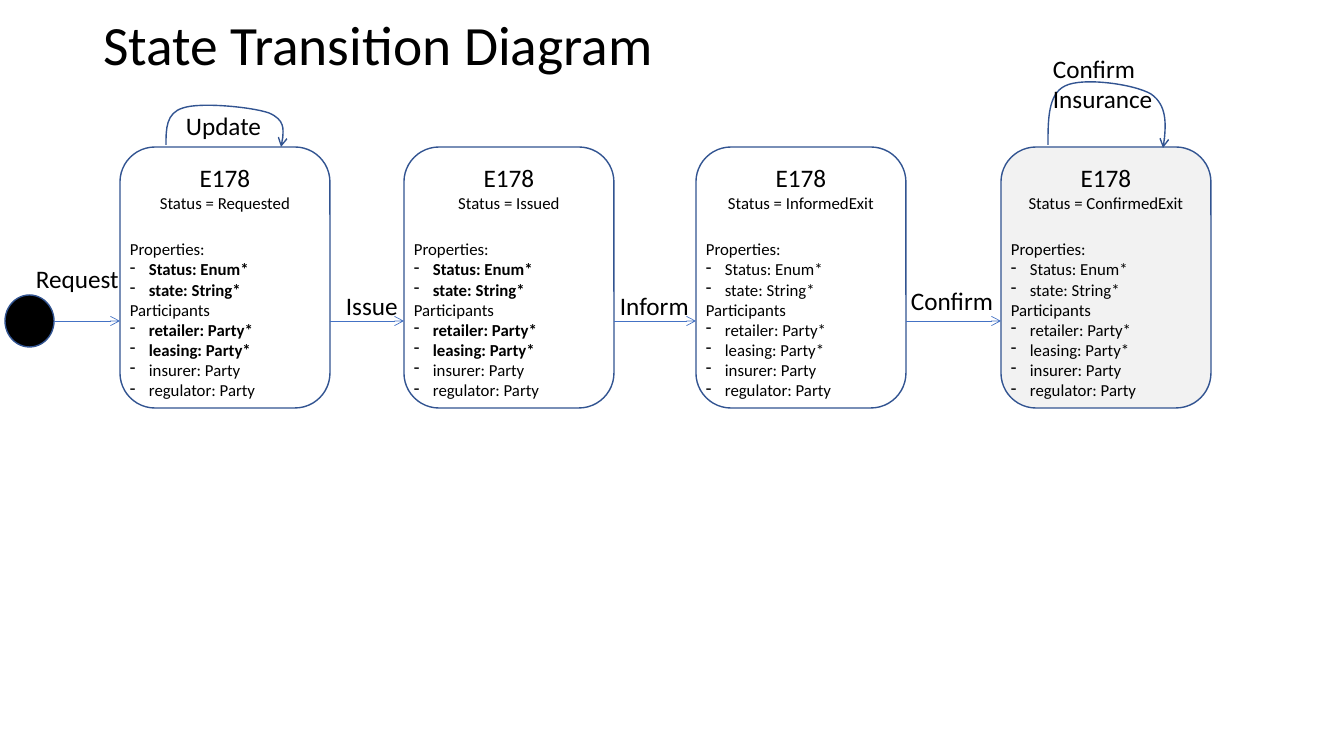
from lxml import etree
from pptx import Presentation
from pptx.dml.color import RGBColor
from pptx.enum.shapes import MSO_CONNECTOR, MSO_SHAPE
from pptx.enum.text import MSO_ANCHOR, MSO_AUTO_SIZE, PP_ALIGN
from pptx.oxml.ns import qn
from pptx.util import Pt

PX = 914400 / 100.8
BLACK = RGBColor(0x00, 0x00, 0x00)
WHITE = RGBColor(0xFF, 0xFF, 0xFF)
GREY = RGBColor(0xF2, 0xF2, 0xF2)
NAVY = RGBColor(0x32, 0x54, 0x91)
BLUE = RGBColor(0x44, 0x72, 0xC4)
ELLIPSE, ROUNDED = MSO_SHAPE.OVAL, MSO_SHAPE.ROUNDED_RECTANGLE
STRAIGHT = MSO_CONNECTOR.STRAIGHT
LEFT, CENTER = PP_ALIGN.LEFT, PP_ALIGN.CENTER
TOP, MIDDLE = MSO_ANCHOR.TOP, MSO_ANCHOR.MIDDLE
FIT_NONE, FIT_SHAPE = MSO_AUTO_SIZE.NONE, MSO_AUTO_SIZE.SHAPE_TO_FIT_TEXT

STATE_TOP, STATE_W, STATE_H = 147, 210, 261
FLOW_Y = 321
START_BOX = (5, 295, 49, 52)
# left, status, fill, whether the key properties are bold
STATES = [
    (120, "Requested", WHITE, True),
    (404, "Issued", WHITE, True),
    (696, "InformedExit", WHITE, False),
    (1001, "ConfirmedExit", GREY, False),
]
# text, is a bulleted item, is a key property
DETAILS = [
    ("Properties:", False, False),
    ("Status: Enum*", True, True),
    ("state: String*", True, True),
    ("Participants", False, False),
    ("retailer: Party*", True, True),
    ("leasing: Party*", True, True),
    ("insurer: Party", True, False),
    ("regulator: Party", True, False),
]
TRANSITIONS = [
    ("Request", (26, 258, 104, 40)),
    ("Issue", (336, 285, 72, 40)),
    ("Inform", (610, 285, 90, 40)),
    ("Confirm", (901, 280, 104, 40)),
]
# left, rise, label lines, label box
SELF_LOOPS = [
    (166, 43, ["Update"], (176, 105, 97, 40)),
    (1048, 68, ["Confirm", "Insurance"], (1043, 48, 121, 72)),
]
# Bezier control points after the start: x in pixels, y as a share of the rise
LOOP_CURVE = [(0, 0.37), (0, 0.75), (17, 0.87), (34, 1), (86, 0.89),
              (103, 0.75), (119, 0.59), (118, 0.16), (115, -0.04)]


def px(*lengths):
    return [round(length * PX) for length in lengths]


def add_run(paragraph, text, size, bold=False):
    run = paragraph.add_run()
    run.text = text
    run.font.name = "Calibri"
    run.font.size = Pt(size)
    run.font.bold = bold
    run.font.color.rgb = BLACK


def add_arrowhead(line_shape):
    etree.SubElement(line_shape.line._get_or_add_ln(), qn("a:tailEnd"), type="arrow")


def style_outline(shape, fill=None):
    shape.shadow.inherit = False
    if fill is None:
        shape.fill.background()
    else:
        shape.fill.solid()
        shape.fill.fore_color.rgb = fill
    shape.line.color.rgb = NAVY
    shape.line.width = Pt(1)


def add_title(slide, box, text):
    title = slide.shapes.title
    title.left, title.top, title.width, title.height = px(*box)
    frame = title.text_frame
    frame.auto_size = FIT_NONE
    frame.vertical_anchor = MIDDLE
    paragraph = frame.paragraphs[0]
    paragraph.alignment = LEFT
    paragraph.line_spacing = 0.9
    add_run(paragraph, text, 39.6)


def add_label(slide, box, lines):
    frame = slide.shapes.add_textbox(*px(*box)).text_frame
    frame.word_wrap = False
    frame.auto_size = FIT_SHAPE
    paragraph = frame.paragraphs[0]
    for i, line in enumerate(lines):
        if i:
            paragraph.add_line_break()
        add_run(paragraph, line, 18)


def add_start(slide, box):
    start = slide.shapes.add_shape(ELLIPSE, *px(*box))
    style_outline(start, BLACK)


def add_state(slide, box, status, fill, bold_keys):
    left, top, width, height = box
    state = slide.shapes.add_shape(ROUNDED, *px(*box))
    style_outline(state, fill)
    heading = state.text_frame
    heading.vertical_anchor = TOP
    name, status_line = heading.paragraphs[0], heading.add_paragraph()
    name.alignment = status_line.alignment = CENTER
    add_run(name, "E178", 18)
    add_run(status_line, f"Status = {status}", 12)

    # Properties and participants
    details = slide.shapes.add_textbox(*px(left, top + 87, width, height - 88)).text_frame
    details.word_wrap = True
    details.auto_size = FIT_SHAPE
    for i, (text, bulleted, key) in enumerate(DETAILS):
        paragraph = details.add_paragraph() if i else details.paragraphs[0]
        if bulleted:
            indent = px(19)[0]
            properties = paragraph._p.get_or_add_pPr()
            properties.set("marL", str(indent))
            properties.set("indent", str(-indent))
            etree.SubElement(properties, qn("a:buChar"), char="-")
        add_run(paragraph, text, 12, key and bold_keys)


def add_transition(slide, start_x, end_x, name, label_box):
    arrow = slide.shapes.add_connector(STRAIGHT, *px(start_x, FLOW_Y, end_x, FLOW_Y))
    arrow.line.color.rgb = BLUE
    arrow.line.width = Pt(0.5)
    add_arrowhead(arrow)
    etree.SubElement(arrow._element.spPr, qn("a:effectLst"))
    add_label(slide, label_box, [name])


def add_self_loop(slide, left, rise, lines, label_box):
    base = STATE_TOP - 2
    builder = slide.shapes.build_freeform(left, base, scale=PX)
    builder.add_line_segments(
        [(left + x, round(base - share * rise)) for x, share in LOOP_CURVE], close=False)
    loop = builder.convert_to_shape()
    # Each three points become one cubic curve
    outline = loop._element.spPr.find(".//" + qn("a:path"))
    segments = outline.findall(qn("a:lnTo"))
    for i in range(0, len(segments), 3):
        curve = etree.SubElement(outline, qn("a:cubicBezTo"))
        for segment in segments[i:i + 3]:
            curve.append(segment[0])
            outline.remove(segment)
    style_outline(loop)
    add_arrowhead(loop)
    add_label(slide, label_box, lines)


def add_diagram(slide):
    add_start(slide, START_BOX)
    for left, status, fill, bold_keys in STATES:
        add_state(slide, (left, STATE_TOP, STATE_W, STATE_H), status, fill, bold_keys)
    # Each arrow runs from the previous right edge to the next state
    source_x = START_BOX[0] + START_BOX[2]
    for (left, *_), (name, label_box) in zip(STATES, TRANSITIONS):
        add_transition(slide, source_x, left, name, label_box)
        source_x = left + STATE_W
    for loop in SELF_LOOPS:
        add_self_loop(slide, *loop)


prs = Presentation()
prs.slide_width, prs.slide_height = px(1344, 756)
slide = prs.slides.add_slide(prs.slide_layouts[5])
add_title(slide, (93, 15, 1159, 66), "State Transition Diagram")
add_diagram(slide)
prs.save("out.pptx")
